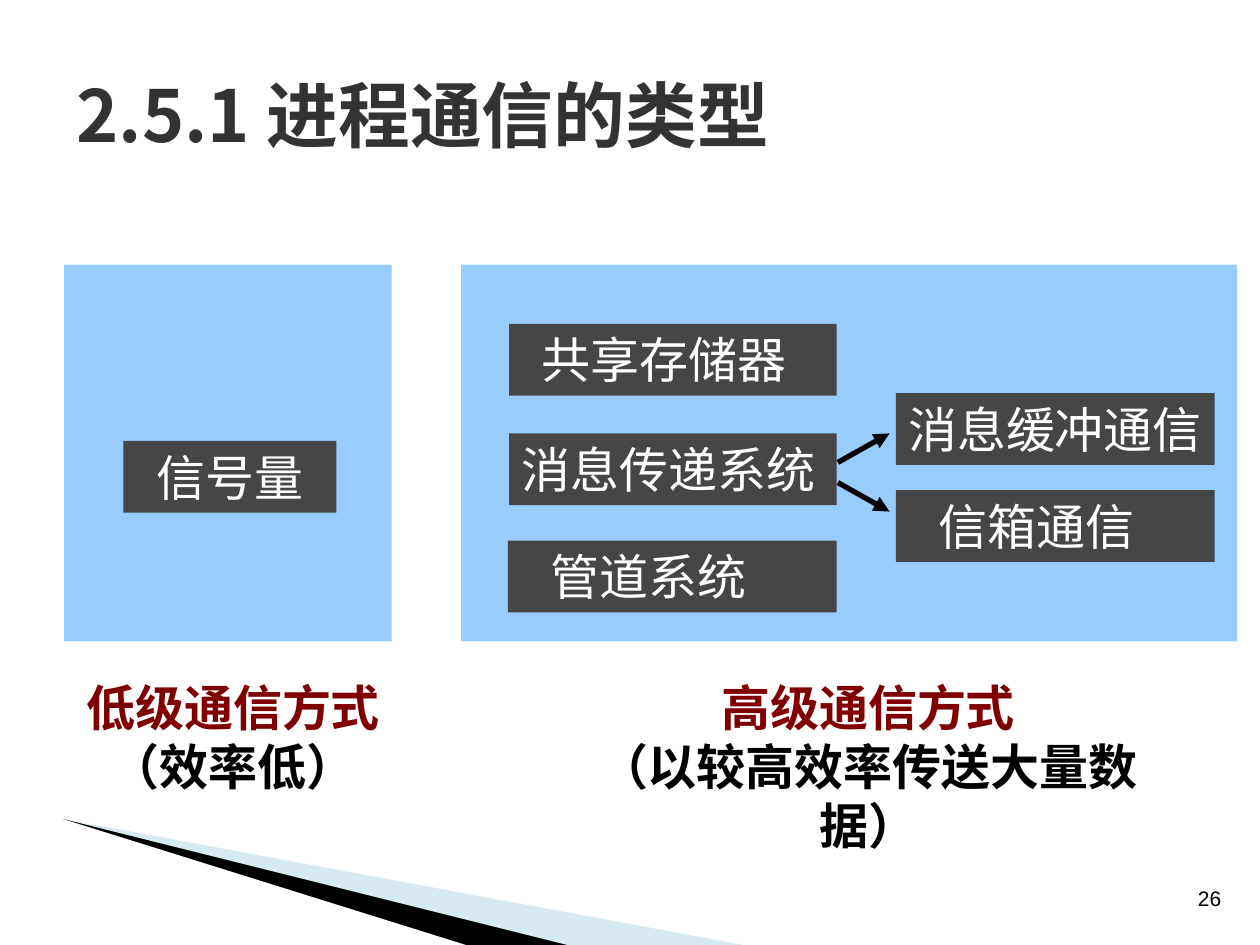
from dataclasses import dataclass

from lxml.etree import SubElement
from pptx import Presentation
from pptx.dml.color import RGBColor
from pptx.enum.shapes import MSO_CONNECTOR, MSO_SHAPE
from pptx.enum.text import MSO_ANCHOR, PP_ALIGN
from pptx.oxml.ns import qn
from pptx.util import Inches, Pt


@dataclass(frozen=True)
class Theme:
    panel: str = "99CCFF"
    box: str = "464646"
    title: str = "333333"
    accent: str = "800000"
    black: str = "000000"
    white: str = "FFFFFF"
    swoosh: str = "9FCBDC"
    title_size: int = 41
    body_size: int = 28
    number_size: int = 12
    title_font: str = "Noto Sans CJK SC"
    body_font: str = "Cabin"
    number_font: str = "Arial"


class SlideBuilder:
    """Places elements on a grid of 100 columns and 75 rows, each 0.1 inch."""

    def __init__(self, deck, theme):
        self.theme = theme
        self.cell = Inches(0.1)
        deck.slide_width, deck.slide_height = 100 * self.cell, 75 * self.cell
        self.slide = deck.slides.add_slide(deck.slide_layouts[6])

    def grid(self, *lengths):
        return [round(length * self.cell) for length in lengths]

    def paint(self, shape, color, alpha=None):
        shape.shadow.inherit = False
        shape.fill.solid()
        shape.fill.fore_color.rgb = RGBColor.from_string(color)
        shape.line.fill.background()
        if alpha:
            color_node = shape._element.spPr.find(f".//{qn('a:srgbClr')}")
            SubElement(color_node, qn("a:alpha")).set("val", str(alpha * 1000))

    def fill_text(self, shape, lines, align=PP_ALIGN.LEFT, anchor=MSO_ANCHOR.TOP,
                  wrap=True, indent=0, **font_values):
        """Each line is a (text, color) pair."""
        frame = shape.text_frame
        frame.word_wrap, frame.vertical_anchor = wrap, anchor
        values = {"name": self.theme.body_font, "bold": False,
                  "size": self.theme.body_size} | font_values
        values["size"] = Pt(values["size"])
        for index, (text, color) in enumerate(lines):
            para = frame.add_paragraph() if index else frame.paragraphs[0]
            para.alignment = align
            if indent:
                para._p.get_or_add_pPr().set("marL", str(self.grid(indent)[0]))
            span = para.add_run()
            span.text = text
            for name, value in values.items():
                setattr(span.font, name, value)
            span.font.color.rgb = RGBColor.from_string(color)

    def rectangle(self, area, color):
        shape = self.slide.shapes.add_shape(MSO_SHAPE.RECTANGLE, *self.grid(*area))
        self.paint(shape, color)
        return shape

    def box(self, text, area, **options):
        shape = self.rectangle(area, self.theme.box)
        self.fill_text(shape, [(text, self.theme.white)], **options)

    def text(self, lines, area, **options):
        shape = self.slide.shapes.add_textbox(*self.grid(*area))
        self.fill_text(shape, lines, **options)

    def wedge(self, points, color, alpha=None):
        start, *rest = points
        outline = self.slide.shapes.build_freeform(*start, scale=self.cell)
        outline.add_line_segments(rest, close=True)
        self.paint(outline.convert_to_shape(), color, alpha)

    def arrow(self, start, end):
        arrow = self.slide.shapes.add_connector(
            MSO_CONNECTOR.STRAIGHT, *self.grid(*start, *end))
        arrow.line.width = Pt(3)
        arrow.line.color.rgb = RGBColor.from_string(self.theme.black)
        properties = arrow._element.spPr
        SubElement(properties.find(qn("a:ln")), qn("a:tailEnd")).set("type", "triangle")
        SubElement(properties, qn("a:effectLst"))


def main():
    deck = Presentation()
    theme = Theme()
    page = SlideBuilder(deck, theme)

    # Corner decoration
    tip = (5.4, 65)
    page.wedge([tip, (58.9, 75), (45, 75)], theme.swoosh, alpha=40)
    page.wedge([tip, (45.3, 75), (36.6, 75)], theme.black)

    # Title and page number
    page.text([("2.5.1 进程通信的类型", theme.title)], (5.1, 2.8, 90, 12.5),
              anchor=MSO_ANCHOR.MIDDLE, name=theme.title_font,
              size=theme.title_size, bold=True)
    page.text([("26", theme.black)], (91.2, 69.8, 9.6, 3), align=PP_ALIGN.CENTER,
              anchor=MSO_ANCHOR.MIDDLE, wrap=False, name=theme.number_font,
              size=theme.number_size)

    # Panels for the two levels of communication
    for left, width in ((5.1, 26), (36.6, 61.6)):
        page.rectangle((left, 21, width, 29.9), theme.panel)

    # Mechanisms inside the panels
    height = 5.7
    page.box("信号量", (9.8, 35, 16.9, height), align=PP_ALIGN.CENTER)
    for text, left, top, width, indent in (
            ("共享存储器", 40.4, 25.7, 26, 1.6),
            ("消息传递系统", 40.4, 34.4, 26, 0),
            ("管道系统", 40.3, 42.9, 26.1, 2.4),
            ("消息缓冲通信", 71.1, 31.2, 25.3, 0),
            ("信箱通信", 71.1, 38.9, 25.3, 2.4)):
        page.box(text, (left, top, width, height), wrap=False, indent=indent)

    # Message passing splits in two
    for start_row, end_row in ((36.7, 34.4), (38.3, 40.6)):
        page.arrow((66.5, start_row), (70.6, end_row))

    # Captions below the panels
    for heading, remark, area in (
            ("低级通信方式", "（效率低）", (0.4, 53.3, 36.2, 10.4)),
            ("高级通信方式", "（以较高效率传送大量数据）", (44.5, 53.3, 48.8, 15))):
        page.text([(heading, theme.accent), (remark, theme.black)], area,
                  align=PP_ALIGN.CENTER, bold=True)

    deck.save("out.pptx")


if __name__ == "__main__":
    main()
